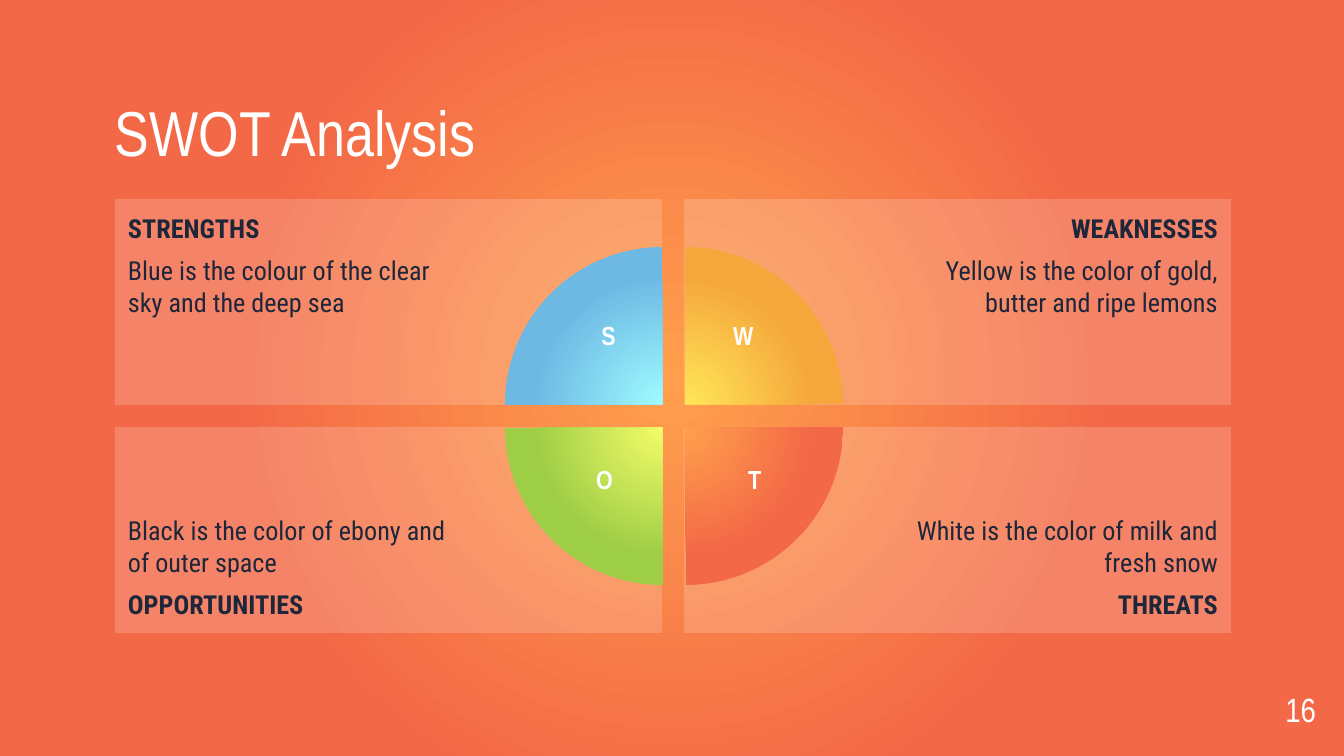
"""Build a SWOT analysis slide with four panels around a quartered circle."""
from dataclasses import dataclass

from lxml.etree import SubElement
from pptx import Presentation
from pptx.dml.color import RGBColor
from pptx.enum.shapes import MSO_SHAPE as Preset
from pptx.enum.text import MSO_ANCHOR as Anchor, PP_ALIGN as Align
from pptx.oxml import parse_xml
from pptx.oxml.ns import nsdecls, qn
from pptx.util import Emu, Pt

EMU_PER_PX = 914400 / 134.4
WHITE, INK = "FFFFFF", "1E263A"
DISPLAY_FONT, BODY_FONT = "Arial Narrow", "Roboto Condensed"
CORAL = ("FF9F4D", "F36846")

PANEL_LEFT, PANEL_TOP = 115, 199
PANEL_WIDTH, PANEL_HEIGHT = 547, 206
PANEL_STEP_X, PANEL_STEP_Y = 569, 228
PADDING, CIRCLE_SIDE = 13, 202
PIE_LEFT, PIE_TOP, PIE_SIZE, PIE_GAP = 505, 247, 315, 23


@dataclass(frozen=True)
class Box:
    """A rectangle in px."""
    left: int
    top: int
    width: int
    height: int

    def emu(self) -> tuple[Emu, Emu, Emu, Emu]:
        """Return the four lengths in EMU."""
        return px(self.left), px(self.top), px(self.width), px(self.height)


@dataclass(frozen=True)
class Quadrant:
    """One quarter of the analysis."""
    column: int
    row: int
    heading: str
    body: str
    letter: str
    letter_box: Box
    rotation: int
    glow: tuple[str, str]


QUADRANTS = (
    Quadrant(0, 0, "STRENGTHS", "Blue is the colour of the clear sky and the deep sea",
             "S", Box(588, 313, 30, 60), 0, ("9FFAFF", "6DB9E4")),
    Quadrant(1, 0, "WEAKNESSES", "Yellow is the color of gold, butter and ripe lemons",
             "W", Box(720, 313, 46, 60), 90, ("FFE659", "F5A73B")),
    Quadrant(1, 1, "THREATS", "White is the color of milk and fresh snow",
             "T", Box(735, 457, 31, 60), 180, CORAL),
    Quadrant(0, 1, "OPPORTUNITIES", "Black is the color of ebony and of outer space",
             "O", Box(583, 457, 30, 60), 270, ("F4FC68", "9ECE46")),
)


def px(length: int) -> Emu:
    """Turn px into EMU."""
    return Emu(round(length * EMU_PER_PX))


def colour(code: str) -> RGBColor:
    """Turn a hex string into a colour."""
    return RGBColor.from_string(code)


def radial_fill(owner, element, glow: tuple[str, str]) -> None:
    """Fill a shape or background with a gradient from its centre."""
    owner.fill.solid()
    solid = element.find(".//" + qn("a:solidFill"))
    inner, outer = glow
    gradient = parse_xml(
        f'<a:gradFill {nsdecls("a")} rotWithShape="1"><a:gsLst>'
        f'<a:gs pos="0"><a:srgbClr val="{inner}"/></a:gs>'
        f'<a:gs pos="58000"><a:srgbClr val="{outer}"/></a:gs></a:gsLst>'
        '<a:path path="circle"><a:fillToRect l="50000" t="50000" r="50000" b="50000"/></a:path>'
        '</a:gradFill>')
    solid.getparent().replace(solid, gradient)


def add_run(paragraph, text: str, size: int, font: str, code: str, bold: bool = False) -> None:
    """Add one styled run."""
    run = paragraph.add_run()
    run.text = text
    run.font.size, run.font.name, run.font.bold = Pt(size), font, bold
    run.font.color.rgb = colour(code)


def set_margins(frame, left: int, top: int, right: int, bottom: int) -> None:
    """Set the insets of a text frame in px."""
    frame.margin_left, frame.margin_top = px(left), px(top)
    frame.margin_right, frame.margin_bottom = px(right), px(bottom)


def add_display_text(slide, box: Box, text: str, size: int, align: Align) -> None:
    """Add the title or the page number."""
    frame = slide.shapes.add_textbox(*box.emu()).text_frame
    frame.word_wrap = True
    frame.vertical_anchor = Anchor.BOTTOM
    set_margins(frame, 0, 0, 0, 0)
    line = frame.paragraphs[0]
    line.alignment, line.line_spacing = align, 0.9
    add_run(line, text, size, DISPLAY_FONT, WHITE)


def add_plain_shape(slide, preset: Preset, box: Box):
    """Add a shape without outline or shadow."""
    shape = slide.shapes.add_shape(preset, *box.emu())
    shape.shadow.inherit = False
    shape.line.fill.background()
    return shape


def add_panel(slide, quadrant: Quadrant) -> None:
    """Add a translucent panel with its heading on the outer edge."""
    panel = add_plain_shape(slide, Preset.RECTANGLE, Box(
        PANEL_LEFT + quadrant.column * PANEL_STEP_X,
        PANEL_TOP + quadrant.row * PANEL_STEP_Y, PANEL_WIDTH, PANEL_HEIGHT))
    panel.fill.solid()
    panel.fill.fore_color.rgb = colour(WHITE)
    tint = panel.element.spPr.find(qn("a:solidFill")).find(qn("a:srgbClr"))
    SubElement(tint, qn("a:alpha")).set("val", "18000")

    frame = panel.text_frame
    frame.word_wrap = True
    frame.vertical_anchor = Anchor.BOTTOM if quadrant.row else Anchor.TOP
    sides = (CIRCLE_SIDE, PADDING) if quadrant.column else (PADDING, CIRCLE_SIDE)
    set_margins(frame, sides[0], PADDING, sides[1], PADDING)
    lines = [(quadrant.heading, True), (quadrant.body, False)]
    if quadrant.row:
        lines.reverse()
    for index, (text, bold) in enumerate(lines):
        line = frame.add_paragraph() if index else frame.paragraphs[0]
        line.alignment = Align.RIGHT if quadrant.column else Align.LEFT
        if index:
            line.space_before = line.space_after = Pt(6)
        add_run(line, text, 14, BODY_FONT, INK, bold)


def add_pie(slide, quadrant: Quadrant) -> None:
    """Add the quarter of the circle that belongs to a quadrant."""
    pie = add_plain_shape(slide, Preset.PIE, Box(
        PIE_LEFT + quadrant.column * PIE_GAP,
        PIE_TOP + quadrant.row * PIE_GAP, PIE_SIZE, PIE_SIZE))
    pie.adjustments[0], pie.adjustments[1] = 107.89, 162
    pie.rotation = quadrant.rotation
    radial_fill(pie, pie.element.spPr, quadrant.glow)


def add_letter(slide, quadrant: Quadrant) -> None:
    """Add the initial on a quarter of the circle."""
    frame = slide.shapes.add_textbox(*quadrant.letter_box.emu()).text_frame
    frame.word_wrap = False
    line = frame.paragraphs[0]
    line.alignment = Align.CENTER
    add_run(line, quadrant.letter, 14, DISPLAY_FONT, WHITE, True)


def main() -> None:
    """Build and save the slide."""
    deck = Presentation()
    deck.slide_width, deck.slide_height = px(1344), px(756)
    slide = deck.slides.add_slide(deck.slide_layouts[6])
    radial_fill(slide.background, slide.element, CORAL)
    add_display_text(slide, Box(115, 112, 1116, 58), "SWOT Analysis", 34, Align.LEFT)
    add_display_text(slide, Box(1235, 683, 81, 47), "16", 18, Align.RIGHT)
    for draw in (add_panel, add_pie, add_letter):
        for quadrant in QUADRANTS:
            draw(slide, quadrant)
    deck.save("out.pptx")


if __name__ == "__main__":
    main()
